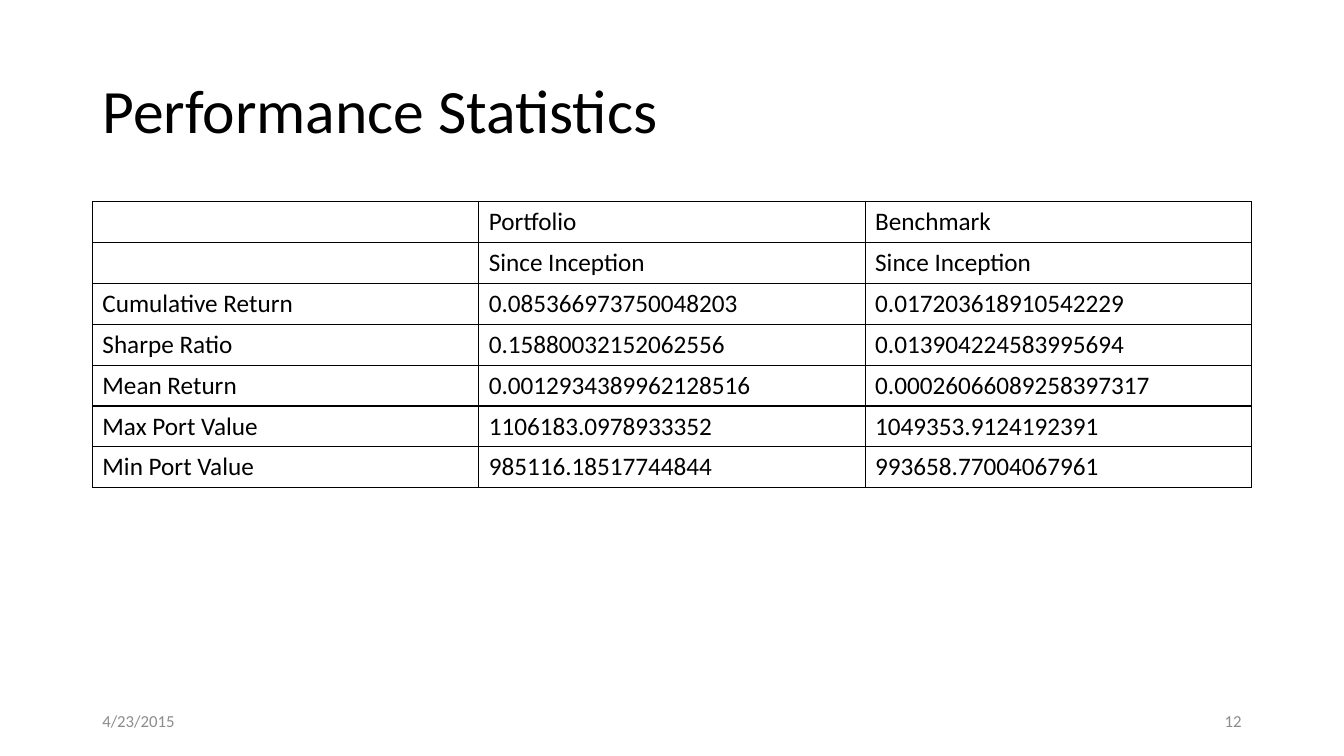
from dataclasses import dataclass

from lxml import etree
from pptx import Presentation
from pptx.dml.color import RGBColor
from pptx.enum.text import MSO_ANCHOR, MSO_AUTO_SIZE, PP_ALIGN
from pptx.oxml.ns import qn
from pptx.util import Pt

# Content
TITLE = "Performance Statistics"
STATISTICS = [
    ("", "Portfolio", "Benchmark"),
    ("", "Since Inception", "Since Inception"),
    ("Cumulative Return", "0.085366973750048203", "0.017203618910542229"),
    ("Sharpe Ratio", "0.15880032152062556", "0.013904224583995694"),
    ("Mean Return", "0.0012934389962128516", "0.00026066089258397317"),
    ("Max Port Value", "1106183.0978933352", "1049353.9124192391"),
    ("Min Port Value", "985116.18517744844", "993658.77004067961"),
]
DATE, PAGE = "4/23/2015", "12"


@dataclass(frozen=True)
class Theme:
    font: str = "Calibri"
    ink: str = "000000"
    muted: str = "8C8C8C"
    title: int = 44
    body: int = 18
    footer: int = 12
    rule: int = 1


THEME = Theme()

# Layout, in points
WIDTH, HEIGHT = 960, 540
MARGIN = 66
CONTENT_WIDTH = WIDTH - 2 * MARGIN
TITLE_TOP, TITLE_HEIGHT = 28.75, 104.4
TABLE_TOP, ROW_HEIGHT = 144, 29.2
FOOTER_TOP, FOOTER_WIDTH, FOOTER_HEIGHT = 500.5, 216, 28.75


def write(frame, text, size, color, align=PP_ALIGN.LEFT):
    paragraph = frame.paragraphs[0]
    paragraph.text = text
    paragraph.alignment = align
    # Paragraph font also sizes the empty cells
    fonts = [run.font for run in paragraph.runs]
    for font in fonts or [paragraph.font]:
        font.name = THEME.font
        font.size = Pt(size)
        font.color.rgb = RGBColor.from_string(color)
    if not text:
        end = etree.SubElement(paragraph._p, qn("a:endParaRPr"))
        end.set("sz", str(size * 100))
    return paragraph


def outline(cell):
    properties = cell._tc.get_or_add_tcPr()
    for position, side in enumerate(("lnL", "lnR", "lnT", "lnB")):
        line = etree.Element(qn(f"a:{side}"), w=str(Pt(THEME.rule)))
        fill = etree.SubElement(line, qn("a:solidFill"))
        etree.SubElement(fill, qn("a:srgbClr"), val=THEME.ink)
        properties.insert(position, line)


def add_footer(slide, text, left, align):
    box = slide.shapes.add_textbox(
        Pt(left), Pt(FOOTER_TOP), Pt(FOOTER_WIDTH), Pt(FOOTER_HEIGHT))
    box.text_frame.word_wrap = True
    box.text_frame.vertical_anchor = MSO_ANCHOR.MIDDLE
    write(box.text_frame, text, THEME.footer, THEME.muted, align)


presentation = Presentation()
presentation.slide_width, presentation.slide_height = Pt(WIDTH), Pt(HEIGHT)
slide = presentation.slides.add_slide(presentation.slide_layouts[5])

# Title
title = slide.shapes.title
title.left, title.top = Pt(MARGIN), Pt(TITLE_TOP)
title.width, title.height = Pt(CONTENT_WIDTH), Pt(TITLE_HEIGHT)
title.text_frame.auto_size = MSO_AUTO_SIZE.NONE
title.text_frame.vertical_anchor = MSO_ANCHOR.MIDDLE
write(title.text_frame, TITLE, THEME.title, THEME.ink).line_spacing = 0.9

# Statistics table
table = slide.shapes.add_table(
    len(STATISTICS), len(STATISTICS[0]), Pt(MARGIN), Pt(TABLE_TOP),
    Pt(CONTENT_WIDTH), Pt(ROW_HEIGHT * len(STATISTICS))).table
table.first_row = table.horz_banding = False
for row, values in zip(table.rows, STATISTICS):
    row.height = Pt(ROW_HEIGHT)
    for cell, value in zip(row.cells, values):
        cell.fill.background()
        outline(cell)
        write(cell.text_frame, value, THEME.body, THEME.ink)

# Date and page number
add_footer(slide, DATE, MARGIN, PP_ALIGN.LEFT)
add_footer(slide, PAGE, WIDTH - MARGIN - FOOTER_WIDTH, PP_ALIGN.RIGHT)

presentation.save("out.pptx")
